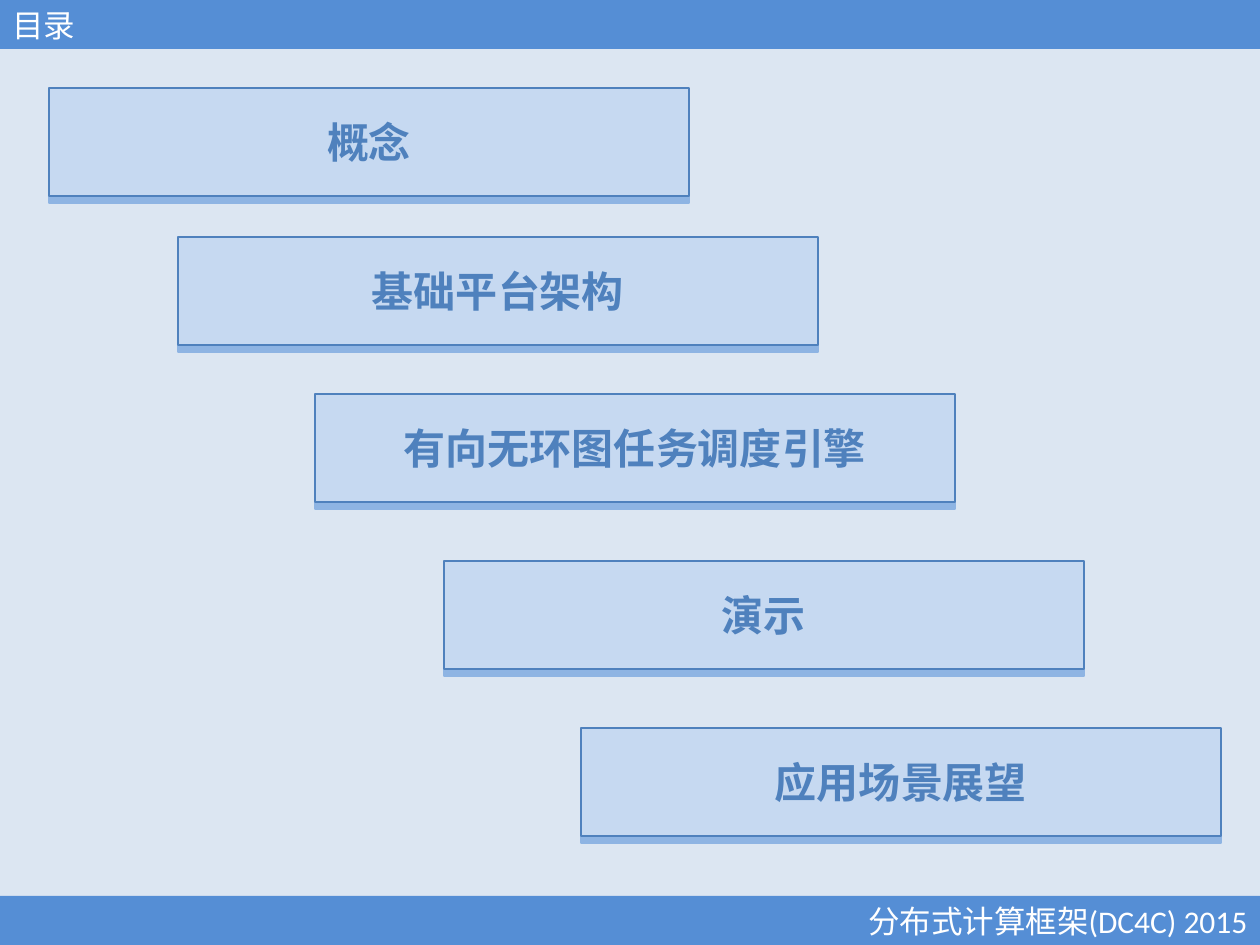
from lxml import etree
from pptx import Presentation
from pptx.dml.color import RGBColor
from pptx.enum.shapes import MSO_SHAPE as Shape
from pptx.enum.text import MSO_ANCHOR as Anchor, PP_ALIGN as Align
from pptx.oxml import parse_xml
from pptx.oxml.ns import nsdecls, qn
from pptx.util import Pt

PX = 914400 // 126
SLIDE_W, SLIDE_H = 1260, 945
BAR_H = 49
TOPIC_W, TOPIC_H = 640, 108


def color(value):
    return RGBColor.from_string(value)


def add_box(left, top, width, height, fill, text, size, text_color, align):
    box = slide.shapes.add_shape(
        Shape.RECTANGLE, left * PX, top * PX, width * PX, height * PX)
    box.shadow.inherit = False
    box.fill.solid()
    box.fill.fore_color.rgb = color(fill)
    box.line.fill.background()
    box.text_frame.vertical_anchor = Anchor.MIDDLE
    paragraph = box.text_frame.paragraphs[0]
    paragraph.text = text
    paragraph.alignment = align
    paragraph.font.name = "Calibri"
    paragraph.font.size = Pt(size)
    paragraph.font.color.rgb = color(text_color)
    return box


prs = Presentation()
prs.slide_width, prs.slide_height = Pt(720), Pt(540)
slide = prs.slides.add_slide(prs.slide_layouts[6])
slide.background.fill.solid()
slide.background.fill.fore_color.rgb = color("DCE6F2")

bars = [
    (0, "目录", Align.LEFT),
    (SLIDE_H - BAR_H, "分布式计算框架(DC4C) 2015", Align.RIGHT),
]
for top, text, align in bars:
    add_box(0, top, SLIDE_W, BAR_H, "558ED5", text, 18, "FFFFFF", align)

topics = [
    (49, 88, "概念"),
    (178, 237, "基础平台架构"),
    (315, 394, "有向无环图任务调度引擎"),
    (444, 561, "演示"),
    (581, 728, "应用场景展望"),
]
for left, top, text in topics:
    topic = add_box(left, top, TOPIC_W, TOPIC_H, "C6D9F1", text, 24,
                    "4F81BD", Align.CENTER)
    topic.text_frame.paragraphs[0].font.bold = True
    topic.line.color.rgb = color("4F81BD")
    topic.line.width = Pt(1)
    effects = topic.element.spPr.find(qn("a:effectLst"))
    effects.append(parse_xml(
        f'<a:outerShdw {nsdecls("a")} blurRad="0" dist="{Pt(4)}" '
        'dir="5400000" algn="ctr" rotWithShape="0">'
        '<a:srgbClr val="8EB4E3"/></a:outerShdw>'))

prs.save("out.pptx")
